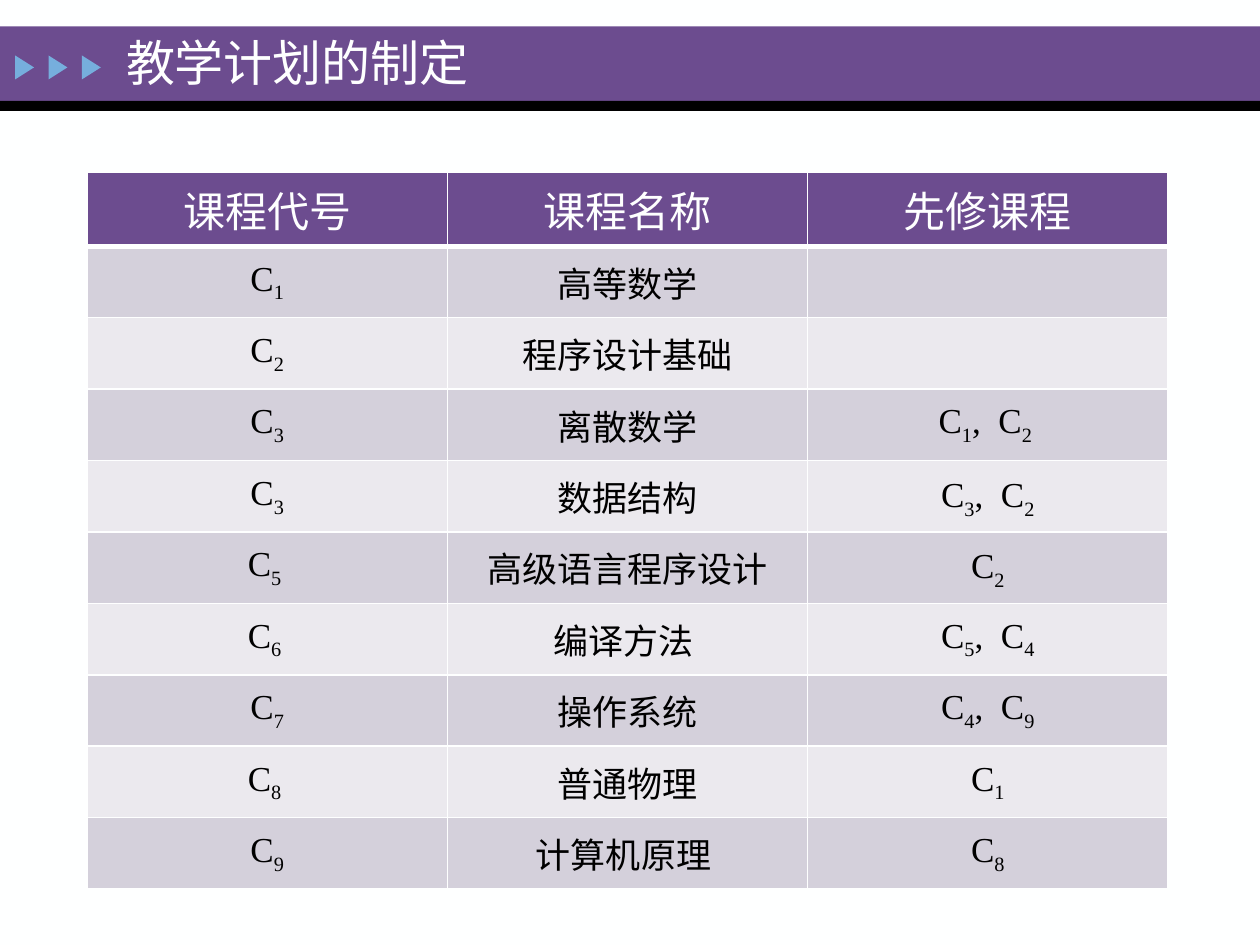
from lxml import etree
from pptx import Presentation
from pptx.dml.color import RGBColor
from pptx.enum.shapes import MSO_SHAPE
from pptx.enum.text import MSO_ANCHOR, MSO_AUTO_SIZE, PP_ALIGN
from pptx.oxml.ns import qn
from pptx.util import Inches, Pt

RECTANGLE, TRIANGLE = MSO_SHAPE.RECTANGLE, MSO_SHAPE.ISOSCELES_TRIANGLE
MIDDLE, NO_AUTOFIT = MSO_ANCHOR.MIDDLE, MSO_AUTO_SIZE.NONE
LEFT, CENTER = PP_ALIGN.LEFT, PP_ALIGN.CENTER
TITLE_ONLY = 5

HEADINGS = ("课程代号", "课程名称", "先修课程")
# Text between bars is set as subscript
COURSES = (
    ("C|1", "高等数学", ""),
    ("C|2", "程序设计基础", ""),
    ("C|3", "离散数学", "C|1|,  C|2 "),
    ("C|3", "数据结构", "C|3|,  C|2"),
    ("C|5 ", "高级语言程序设计", "C|2"),
    ("C|6 ", "编译方法 ", "C|5|,  C|4"),
    ("C|7", "操作系统", "C|4|,  C|9"),
    ("C|8 ", "普通物理", "C|1"),
    ("C|9", "计算机原理 ", "C|8"),
)
LOOSE_CELLS = {(4, 2), (5, 2)}  # row, column with wider line spacing


def color(value):
    return RGBColor.from_string(value)


class CourseSlide:
    font = "Times New Roman"
    purple, white, black, blue = "6C4C8F", "FEFFFF", "000000", "76AEDD"
    bands = ("EBE9EE", "D4D0DB")

    def __init__(self, presentation):
        self.slide = presentation.slides.add_slide(
            presentation.slide_layouts[TITLE_ONLY])
        background = self.slide.background.fill
        background.solid()
        background.fore_color.rgb = color(self.white)

    def shape(self, kind, left, top, width, height, fill, rotation=0):
        shape = self.slide.shapes.add_shape(
            kind, Inches(left), Inches(top), Inches(width), Inches(height))
        shape.shadow.inherit = False
        shape.fill.solid()
        shape.fill.fore_color.rgb = color(fill)
        shape.line.fill.background()
        shape.rotation = rotation

    def runs(self, paragraph, text, size, ink):
        for position, part in enumerate(text.split("|")):
            run = paragraph.add_run()
            run.text = part
            run.font.name = self.font
            run.font.size = Pt(size)
            run.font.color.rgb = color(ink)
            if position % 2:
                run.font._element.set("baseline", "-25000")

    def title(self, text, left, top, width, height):
        title = self.slide.shapes.title
        title.left, title.top = Inches(left), Inches(top)
        title.width, title.height = Inches(width), Inches(height)
        frame = title.text_frame
        frame.auto_size = NO_AUTOFIT
        frame.vertical_anchor = MIDDLE
        frame.paragraphs[0].alignment = LEFT
        self.runs(frame.paragraphs[0], text, 28, self.white)
        # Bring the title in front of the banner
        self.slide.shapes.element.append(title.element)

    def borders(self, cell, top, bottom):
        properties = cell._tc.get_or_add_tcPr()
        for side, points in (("L", 1), ("R", 1), ("T", top), ("B", bottom)):
            line = etree.SubElement(
                properties, qn(f"a:ln{side}"), w=str(Pt(points)))
            fill = etree.SubElement(line, qn("a:solidFill"))
            etree.SubElement(fill, qn("a:srgbClr"), val=self.white)

    def cell(self, cell, row, column, text):
        heading = row == 0
        self.borders(cell, top=3 if row == 1 else 1, bottom=3 if heading else 1)
        cell.fill.solid()
        cell.fill.fore_color.rgb = color(
            self.purple if heading else self.bands[row % 2])
        cell.vertical_anchor = MIDDLE
        paragraph = cell.text_frame.paragraphs[0]
        paragraph.alignment = CENTER
        if (row, column) in LOOSE_CELLS:
            paragraph.line_spacing = 1.1
        if text:
            self.runs(paragraph, text, 24 if heading else 20,
                      self.white if heading else self.black)

    def table(self, rows, left, top, width, height):
        table = self.slide.shapes.add_table(
            len(rows), len(rows[0]), Inches(left), Inches(top),
            Inches(width), Inches(height)).table
        for row, texts in enumerate(rows):
            for column, text in enumerate(texts):
                self.cell(table.cell(row, column), row, column, text)


def main():
    presentation = Presentation()
    presentation.slide_width, presentation.slide_height = Inches(10), Inches(7.5)
    plan = CourseSlide(presentation)

    # Banner with three arrowheads
    plan.shape(RECTANGLE, 0, 0.21, 10, 0.59, plan.purple)
    plan.shape(RECTANGLE, 0, 0.8, 10, 0.08, plan.black)
    for step in range(3):
        plan.shape(TRIANGLE, 0.1 + 0.265 * step, 0.46, 0.19, 0.15,
                   plan.blue, rotation=90)
    plan.title("教学计划的制定", 0.9, 0.23, 3.62, 0.52)

    # Courses and their prerequisites
    plan.table((HEADINGS,) + COURSES, 0.69, 1.37, 8.58, 5.67)

    presentation.save("out.pptx")


if __name__ == "__main__":
    main()
